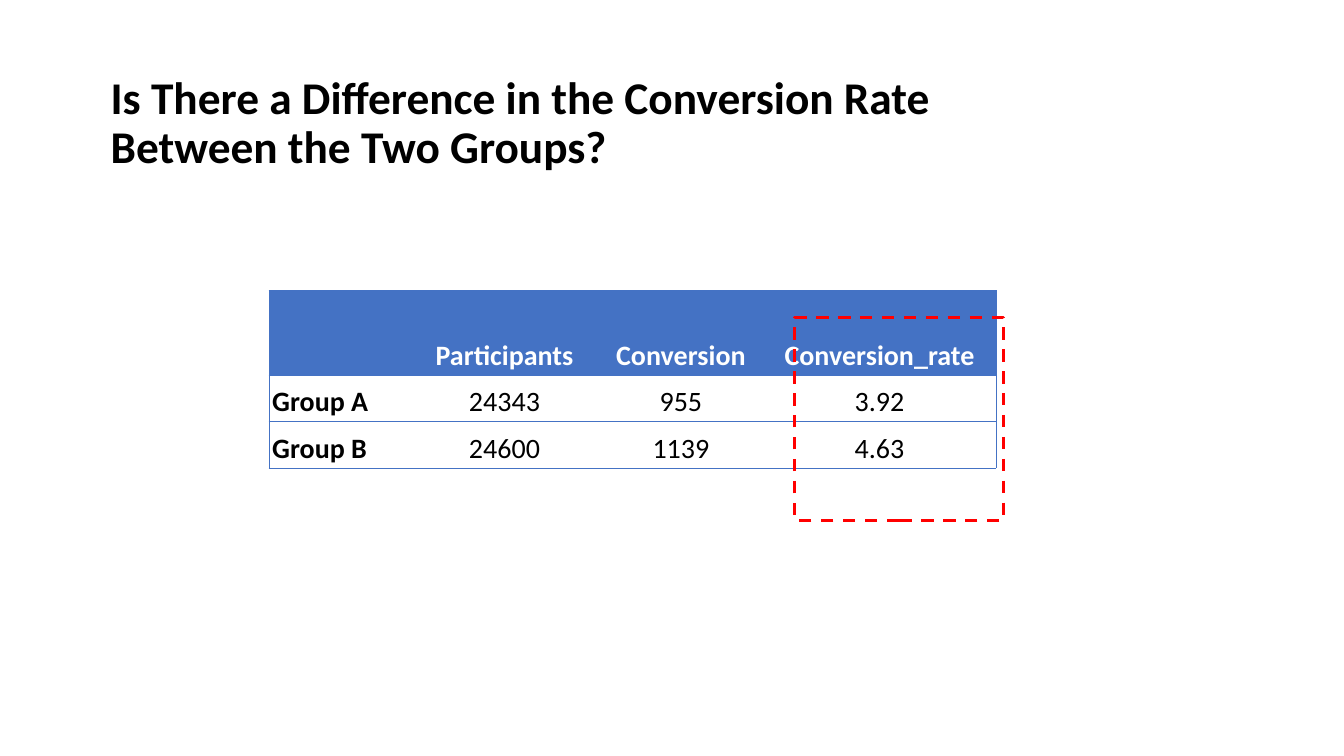
"""Build the slide that compares conversion rates of two groups."""
from lxml import etree
from pptx import Presentation
from pptx.dml.color import RGBColor
from pptx.enum.dml import MSO_LINE
from pptx.enum.shapes import MSO_SHAPE
from pptx.enum.text import MSO_ANCHOR, PP_ALIGN
from pptx.oxml.ns import qn
from pptx.util import Cm, Pt

TITLE = "Is There a Difference in the Conversion Rate Between the Two Groups?"
ROWS = [
    ("", "Participants", "Conversion", "Conversion_rate"),
    ("Group A", "24343", "955", "3.92"),
    ("Group B", "24600", "1139", "4.63"),
]
COLUMN_WIDTHS = (3.56, 4.75, 4.14, 5.87)
ROW_HEIGHTS = (2.13, 1.17, 1.17)
TABLE_LEFT, TABLE_TOP = 6.78, 7.32
TITLE_BOX = (2.54, 1.6, 25.48, 2.9)
HIGHLIGHT_BOX = (20.02, 8, 5.28, 5.11)

BLACK = RGBColor(0x00, 0x00, 0x00)
WHITE = RGBColor(0xFF, 0xFF, 0xFF)
BLUE = RGBColor(0x44, 0x72, 0xC4)
RED = RGBColor(0xFF, 0x00, 0x00)
BOTTOM = MSO_ANCHOR.BOTTOM
LEFT, CENTER = PP_ALIGN.LEFT, PP_ALIGN.CENTER
DASH, RECTANGLE = MSO_LINE.DASH, MSO_SHAPE.RECTANGLE
CELL_FORMAT = {
    "vertical_anchor": BOTTOM,
    "margin_left": Cm(0.08),
    "margin_right": Cm(0.08),
    "margin_top": Cm(0.05),
    "margin_bottom": Cm(0.05),
}


def apply(target, values):
    for name, value in values.items():
        setattr(target, name, value)


def write(frame, text, size, color, bold, align):
    para = frame.paragraphs[0]
    para.alignment = align
    span = para.add_run()
    span.text = text
    apply(span.font, {"name": "Calibri", "size": Pt(size), "bold": bold})
    span.font.color.rgb = color
    return para


def set_borders(cell, visible):
    properties = cell._tc.get_or_add_tcPr()
    for position, side in enumerate("LRTB"):
        border = etree.Element(qn(f"a:ln{side}"), w=str(Pt(0.5)))
        if side in visible:
            fill = etree.SubElement(border, qn("a:solidFill"))
            etree.SubElement(fill, qn("a:srgbClr"), val=str(BLUE))
        else:
            etree.SubElement(border, qn("a:noFill"))
        properties.insert(position, border)


def add_title(page):
    box = page.shapes.add_textbox(*map(Cm, TITLE_BOX))
    apply(box.text_frame, {"word_wrap": True, "vertical_anchor": BOTTOM})
    para = write(box.text_frame, TITLE, 32.4, BLACK, True, LEFT)
    para.line_spacing = 0.9


def add_results(page):
    frame = page.shapes.add_table(
        len(ROWS), len(COLUMN_WIDTHS), Cm(TABLE_LEFT), Cm(TABLE_TOP),
        Cm(sum(COLUMN_WIDTHS)), Cm(sum(ROW_HEIGHTS)))
    table = frame.table
    apply(table, {"first_row": False, "horz_banding": False})
    for column, width in zip(table.columns, COLUMN_WIDTHS):
        column.width = Cm(width)
    for row, height in zip(table.rows, ROW_HEIGHTS):
        row.height = Cm(height)
    last_column = len(COLUMN_WIDTHS) - 1
    for r, texts in enumerate(ROWS):
        for c, text in enumerate(texts):
            cell = table.cell(r, c)
            header = r == 0
            apply(cell, CELL_FORMAT)
            if header:
                cell.fill.solid()
                cell.fill.fore_color.rgb = BLUE
            else:
                cell.fill.background()
            sides = "TB" + "L" * (c == 0) + "R" * (c == last_column)
            set_borders(cell, sides)
            if text:
                write(cell.text_frame, text, 20, WHITE if header else BLACK,
                      header or c == 0, CENTER if c else LEFT)


def add_highlight(page):
    box = page.shapes.add_shape(RECTANGLE, *map(Cm, HIGHLIGHT_BOX))
    box.shadow.inherit = False
    box.fill.background()
    apply(box.line, {"width": Pt(2.25), "dash_style": DASH})
    box.line.color.rgb = RED


def main():
    deck = Presentation()
    apply(deck, {"slide_width": Cm(33.87), "slide_height": Cm(19.05)})
    page = deck.slides.add_slide(deck.slide_layouts[6])
    add_title(page)
    add_results(page)
    add_highlight(page)
    deck.save("out.pptx")


if __name__ == "__main__":
    main()
